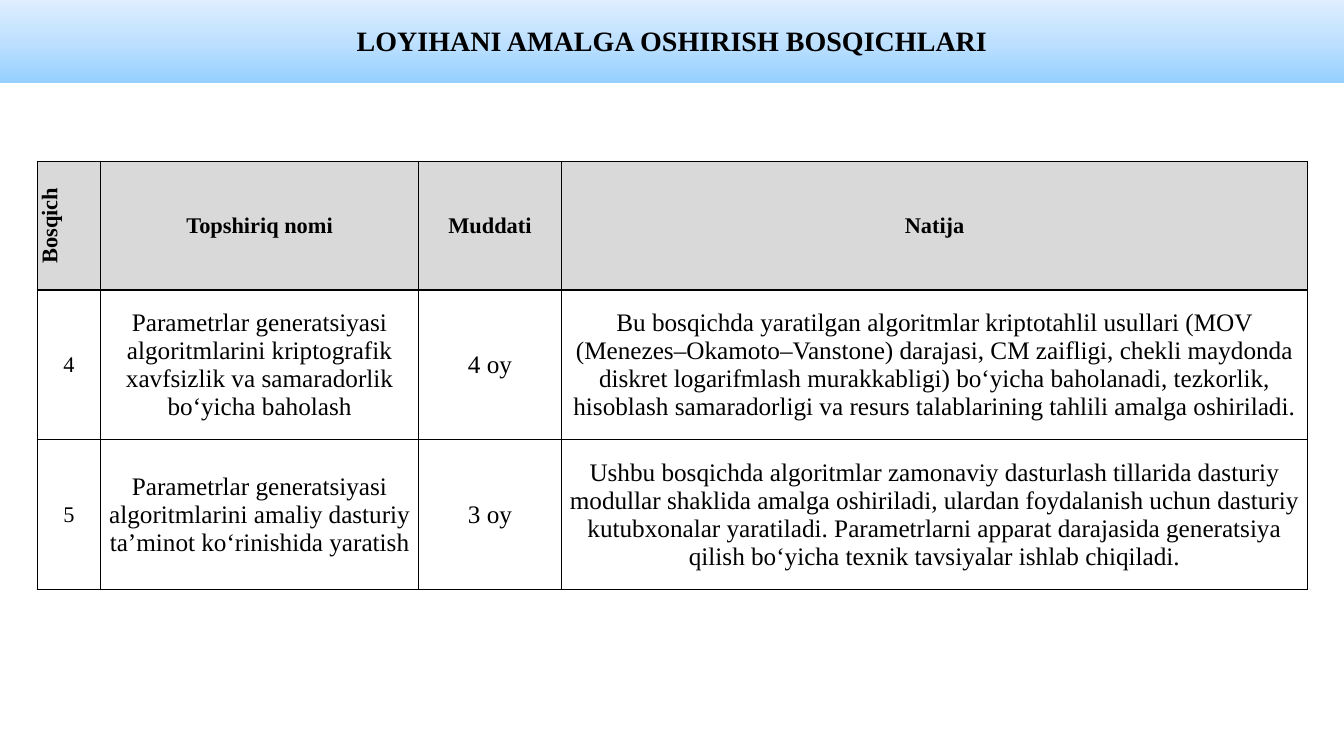
import copy

import pptx
import pptx.dml.color
import pptx.enum.dml
import pptx.enum.text
import pptx.oxml
import pptx.oxml.ns
import pptx.util

Inches = pptx.util.Inches
Color = pptx.dml.color.RGBColor
qn = pptx.oxml.ns.qn

BLACK = Color(0x00, 0x00, 0x00)
GREY = Color(0xD9, 0xD9, 0xD9)
BLUES = [Color(0x96, 0xD0, 0xFF), Color(0xBF, 0xE1, 0xFF), Color(0xE0, 0xEF, 0xFF)]
FACE = "Times New Roman"
MIDDLE = pptx.enum.text.MSO_ANCHOR.MIDDLE
CENTER = pptx.enum.text.PP_ALIGN.CENTER

COLS = [0.63, 3.15, 1.42, 7.4]
ROWS = [1.28, 1.49, 1.49]
TABS = [0.2, 0.3, 0.89]
DATA = [
    ["Bosqich", "Topshiriq nomi", "Muddati", "Natija"],
    ["4",
     "Parametrlar generatsiyasi algoritmlarini kriptografik xavfsizlik va samaradorlik bo‘yicha baholash",
     "4 oy",
     "Bu bosqichda yaratilgan algoritmlar kriptotahlil usullari (MOV (Menezes–Okamoto–Vanstone) darajasi, "
     "CM zaifligi, chekli maydonda diskret logarifmlash murakkabligi) bo‘yicha baholanadi, tezkorlik, "
     "hisoblash samaradorligi va resurs talablarining tahlili amalga oshiriladi."],
    ["5",
     "Parametrlar generatsiyasi algoritmlarini amaliy dasturiy ta’minot ko‘rinishida yaratish",
     "3 oy",
     "Ushbu bosqichda algoritmlar zamonaviy dasturlash tillarida dasturiy modullar shaklida amalga oshiriladi, "
     "ulardan foydalanish uchun dasturiy kutubxonalar yaratiladi. Parametrlarni apparat darajasida generatsiya "
     "qilish bo‘yicha texnik tavsiyalar ishlab chiqiladi."],
]


def assign(item, values):
    for name, value in values.items():
        setattr(item, name, value)


def write(para, text, size, bold):
    para.alignment = CENTER
    run = para.add_run()
    run.text = text
    assign(run.font, {"name": FACE, "size": pptx.util.Pt(size), "bold": bold})
    run.font.color.rgb = BLACK


def add_tabs(para):
    stops = pptx.oxml.ns.nsdecls("a")
    marks = "".join(f'<a:tab pos="{Inches(pos)}" algn="l"/>' for pos in TABS)
    para._p.get_or_add_pPr().append(
        pptx.oxml.parse_xml(f"<a:tabLst {stops}>{marks}</a:tabLst>"))


def add_lines(cell):
    props = cell._tc.get_or_add_tcPr()
    for side in ("lnL", "lnR", "lnT", "lnB"):
        props.append(pptx.oxml.parse_xml(
            f'<a:{side} {pptx.oxml.ns.nsdecls("a")} w="{pptx.util.Pt(1)}">'
            f'<a:solidFill><a:srgbClr val="{BLACK}"/></a:solidFill></a:{side}>'))


def fill_cell(cell, text, row, col):
    head = row == 0
    assign(cell, {"margin_left": 0, "margin_right": 0, "margin_top": 0,
                  "margin_bottom": 0, "vertical_anchor": MIDDLE})
    add_lines(cell)
    if head:
        cell.fill.solid()
        cell.fill.fore_color.rgb = GREY
    else:
        cell.fill.background()
    if head and col == 0:
        cell._tc.get_or_add_tcPr().set("vert", "vert270")
    para = cell.text_frame.paragraphs[0]
    add_tabs(para)
    write(para, text, 16 if head or col == 0 else 18, head)


def add_stages(slide, left, top, width, height):
    frame = slide.shapes.add_table(
        len(ROWS), len(COLS), Inches(left), Inches(top), Inches(width), Inches(height))
    table = frame.table
    assign(table, {"first_row": False, "horz_banding": False})
    for col, span in zip(table.columns, COLS):
        col.width = Inches(span * width / sum(COLS))
    for row, span in zip(table.rows, ROWS):
        row.height = Inches(span * height / sum(ROWS))
    for r, line in enumerate(DATA):
        for c, text in enumerate(line):
            fill_cell(table.cell(r, c), text, r, c)


def add_title(slide, left, top, width, height):
    title = slide.shapes.title
    assign(title, {"left": Inches(left), "top": Inches(top),
                   "width": Inches(width), "height": Inches(height)})
    title.fill.gradient()
    title.fill.gradient_angle = 90
    stops = title._element.spPr.find(qn("a:gradFill")).find(qn("a:gsLst"))
    stops.insert(1, copy.deepcopy(stops[0]))
    for i, (stop, color) in enumerate(zip(title.fill.gradient_stops, BLUES)):
        stop.position = i / 2
        stop.color.rgb = color
    assign(title.text_frame, {"word_wrap": True, "vertical_anchor": MIDDLE})
    write(title.text_frame.paragraphs[0], "LOYIHANI AMALGA OSHIRISH BOSQICHLARI", 20, True)


def main():
    deck = pptx.Presentation()
    assign(deck, {"slide_width": Inches(13.33), "slide_height": Inches(7.5)})
    slide = deck.slides.add_slide(deck.slide_layouts[5])
    add_title(slide, 0, -0.02, 13.33, 0.84)
    add_stages(slide, 0.37, 1.6, 12.6, 4.25)
    deck.save("out.pptx")


if __name__ == "__main__":
    main()
